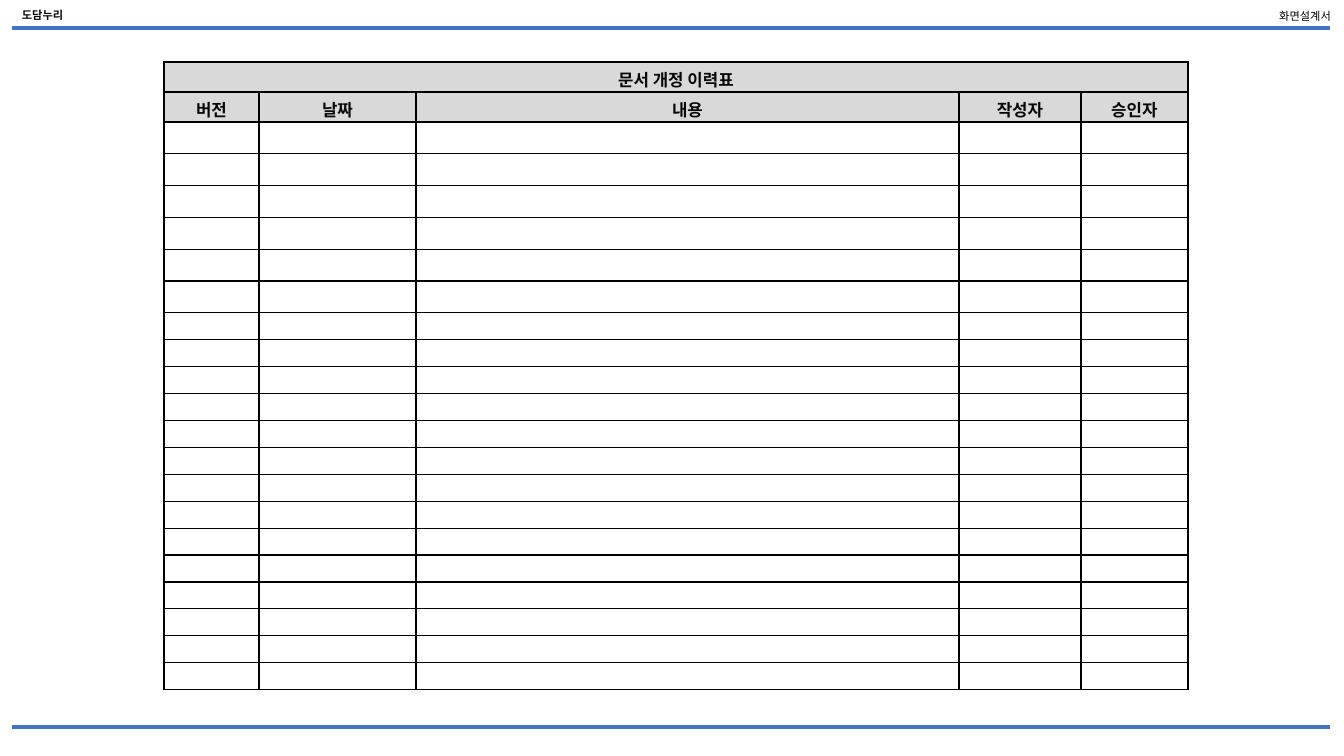
from lxml.etree import SubElement as Sub
from pptx import Presentation
from pptx.dml.color import RGBColor as Rgb
from pptx.enum.shapes import MSO_CONNECTOR as Conn
from pptx.enum.text import MSO_ANCHOR as Anchor, PP_ALIGN as Align
from pptx.oxml.ns import qn
from pptx.util import Pt

PX = 12192000 / 1344
COLORS = {"rule": "4472C4", "ink": "000000", "bold": "080808", "head": "D9D9D9"}
KOREAN = "Noto Sans CJK KR"
HEADS = ["버전", "날짜", "내용", "작성자", "승인자"]
COLS = [95, 157, 543, 122, 107]
# Row bands: number of rows and height of the whole band
BANDS = [(2, 60), (6, 191), (14, 377)]


def px(n):
    return round(n * PX)


def color(name):
    return Rgb.from_string(COLORS[name])


def style(para, size, font, ink, bold=False, align=Align.LEFT):
    para.alignment = align
    for run in para.runs:
        run.font.size, run.font.name, run.font.bold = Pt(size), font, bold
        run.font.color.rgb = color(ink)
        Sub(run.font._element, qn("a:ea"), typeface=KOREAN)


def add_rule(slide, y):
    line = slide.shapes.add_connector(Conn.STRAIGHT, px(12), px(y), px(1330), px(y))
    line.line.color.rgb = color("rule")
    line.line.width = Pt(2.5)
    Sub(line._element.spPr, qn("a:effectLst"))


def add_label(slide, text, box, wrap, **look):
    frame = slide.shapes.add_textbox(*map(px, box)).text_frame
    frame.word_wrap = wrap
    frame.text = text
    style(frame.paragraphs[0], 8, **look)


def add_edges(cell):
    props = cell._tc.get_or_add_tcPr()
    for side in ("lnL", "lnR", "lnT", "lnB"):
        edge = Sub(props, qn(f"a:{side}"), w=str(Pt(1)))
        fill = Sub(edge, qn("a:solidFill"))
        Sub(fill, qn("a:srgbClr"), val=COLORS["ink"])


def fill_head(cell, text):
    cell.fill.solid()
    cell.fill.fore_color.rgb = color("head")
    cell.vertical_anchor = Anchor.MIDDLE
    cell.margin_bottom = 0
    cell.text = text
    style(cell.text_frame.paragraphs[0], 12, KOREAN, "bold", True, Align.CENTER)


def fill_blank(cell):
    cell.fill.background()
    cell.margin_top = cell.margin_bottom = 0
    # Small type keeps the empty row at its set height
    Sub(cell.text_frame.paragraphs[0]._p, qn("a:endParaRPr"), sz="800")


def add_log(slide):
    highs = [tall / n for n, tall in BANDS for _ in range(n)]
    frame = slide.shapes.add_table(len(highs), len(COLS), px(164), px(62),
                                   px(sum(COLS)), px(sum(highs)))
    table = frame.table
    table.first_row = table.horz_banding = False
    for col, wide in zip(table.columns, COLS):
        col.width = px(wide)
    for row, high in zip(table.rows, highs):
        row.height = px(high)
    for cell in table.iter_cells():
        add_edges(cell)

    # Heading rows
    table.cell(0, 0).merge(table.cell(0, len(COLS) - 1))
    fill_head(table.cell(0, 0), "문서 개정 이력표")
    for i, text in enumerate(HEADS):
        fill_head(table.cell(1, i), text)

    # Empty rows
    for r in range(2, len(highs)):
        for c in range(len(COLS)):
            fill_blank(table.cell(r, c))


def main():
    deck = Presentation()
    deck.slide_width, deck.slide_height = px(1344), px(756)
    slide = deck.slides.add_slide(deck.slide_layouts[6])

    # Page frame
    for y in (28, 727):
        add_rule(slide, y)
    add_label(slide, "화면설계서", (1264, 4, 77, 24), False,
              font=KOREAN, ink="ink", align=Align.RIGHT)
    add_label(slide, "도담누리", (12, 3, 412, 24), True,
              font="Arial", ink="bold", bold=True)

    # Revision history
    add_log(slide)
    deck.save("out.pptx")


if __name__ == "__main__":
    main()
